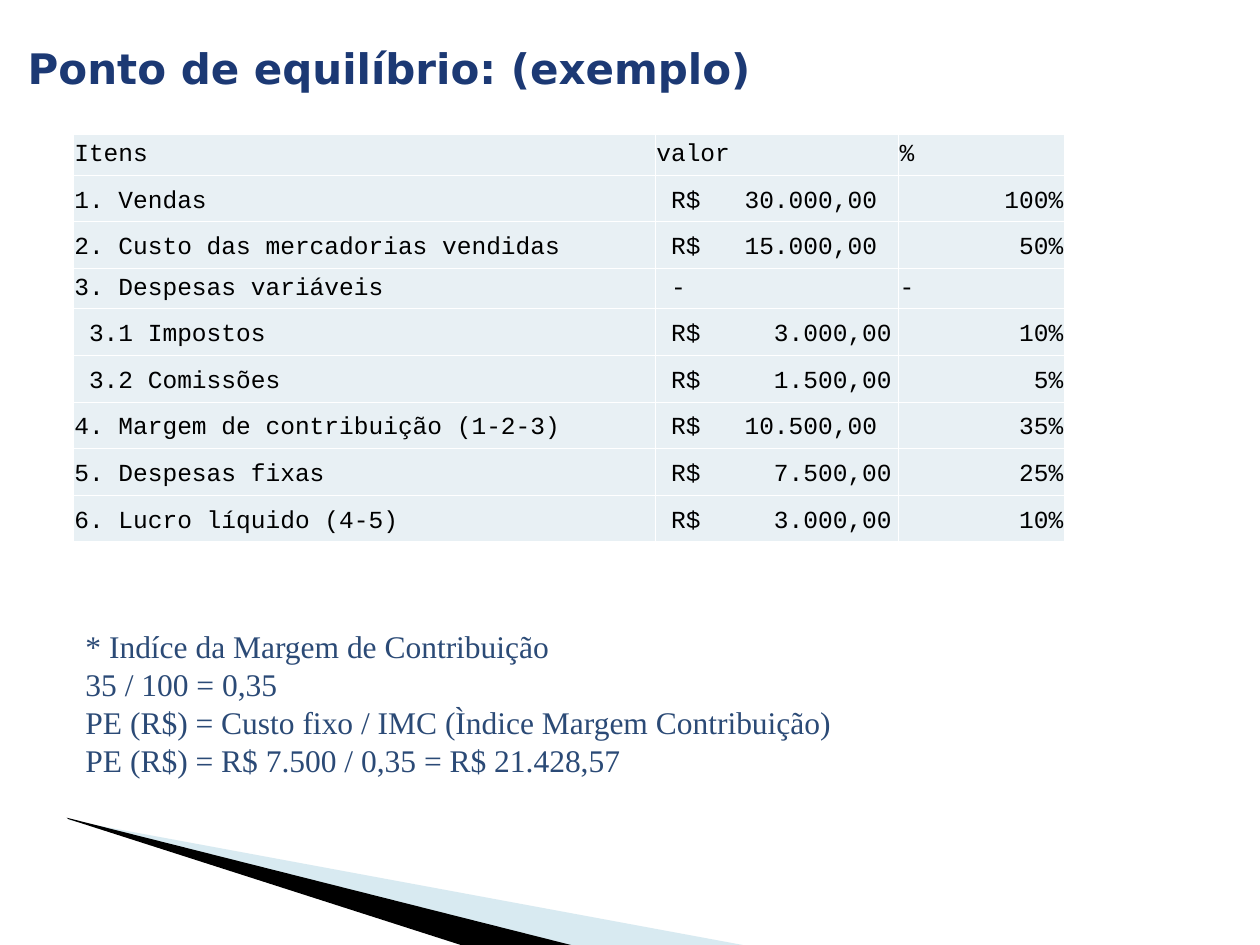
"""Build the break-even example slide with its table, formulas and corner wedges."""
from dataclasses import dataclass

from lxml.etree import SubElement
from pptx import Presentation
from pptx.dml.color import RGBColor as Color
from pptx.enum.text import MSO_ANCHOR as Anchor, MSO_AUTO_SIZE as AutoSize, PP_ALIGN as Align
from pptx.oxml import parse_xml
from pptx.oxml.ns import nsdecls, qn
from pptx.util import Inches, Pt


@dataclass(frozen=True)
class Theme:
    title: tuple = ("DejaVu Sans", 24, "1C3974", True)
    table: tuple = ("Courier New", 14, "000000", False)
    formula: tuple = ("Times New Roman", 18, "2B4A76", False)
    cell: str = "E8F0F4"
    border: str = "FFFFFF"
    border_width: float = 0.45
    pale_wedge: str = "9FCBDC"
    dark_wedge: str = "000000"


def format_text(paragraph, style, alignment=Align.LEFT):
    paragraph.alignment = alignment
    for run in paragraph.runs:
        run.font.name, size, color, run.font.bold = style
        run.font.size = Pt(size)
        run.font.color.rgb = Color.from_string(color)


def place(shape, left, top, width, height):
    shape.left, shape.top = round(left * column), round(top * row)
    shape.width, shape.height = round(width * column), round(height * row)


theme = Theme()
presentation = Presentation()
presentation.slide_width, presentation.slide_height = Inches(10), Inches(7.5)
column, row = presentation.slide_width / 100, presentation.slide_height / 75
slide = presentation.slides.add_slide(presentation.slide_layouts[5])

wedges = [
    (theme.pale_wedge, 40, [(5.5, 65.1), (59.5, 75.1), (45.6, 75.1), (5.5, 65)]),
    (theme.dark_wedge, 100, [(5.3, 64.9), (45.7, 75.1), (37.2, 75.2), (5.4, 65)]),
]
for color, opacity, points in wedges:
    corners = [(round(x * column), round(y * row)) for x, y in points]
    builder = slide.shapes.build_freeform(*corners[0])
    builder.add_line_segments(corners[1:], close=True)
    wedge = builder.convert_to_shape()
    wedge.shadow.inherit = False
    wedge.line.fill.background()
    wedge.fill.solid()
    wedge.fill.fore_color.rgb = Color.from_string(color)
    color_element = wedge.fill._xPr.find(qn("a:solidFill"))[0]
    SubElement(color_element, qn("a:alpha"), val=str(opacity * 1000))

items = [
    ("Itens", "valor", "%"),
    ("1. Vendas", "30.000,00", "100%"),
    ("2. Custo das mercadorias vendidas", "15.000,00", "50%"),
    ("3. Despesas variáveis", " -", "-"),
    (" 3.1 Impostos", "3.000,00", "10%"),
    (" 3.2 Comissões", "1.500,00", "5%"),
    ("4. Margem de contribuição (1-2-3)", "10.500,00", "35%"),
    ("5. Despesas fixas", "7.500,00", "25%"),
    ("6. Lucro líquido (4-5)", "3.000,00", "10%"),
]
column_shares = [46.2, 19.3, 13.2]
frame = slide.shapes.add_table(len(items), len(column_shares), 0, 0, Inches(1), Inches(1))
place(frame, 5.8, 10.7, sum(column_shares), 30.7)
table = frame.table
table.first_row = table.horz_banding = False
for table_column, share in zip(table.columns, column_shares):
    table_column.width = round(share * column)

for table_row, texts in zip(table.rows, items):
    has_amount = texts[1].endswith(",00")
    table_row.height = round((3.7 if has_amount else 2.4) * row)
    for index, (cell, text) in enumerate(zip(table_row.cells, texts)):
        is_amount = has_amount and index == 1
        cell.text_frame.text = f" R$\t{text}" if is_amount else text
        paragraph = cell.text_frame.paragraphs[0]
        format_text(paragraph, theme.table, Align.RIGHT if has_amount and index == 2 else Align.LEFT)
        if is_amount:
            tabs = SubElement(paragraph._p.get_or_add_pPr(), qn("a:tabLst"))
            tab_position = round((7 if len(text) == 9 else 9.33) * column)
            SubElement(tabs, qn("a:tab"), pos=str(tab_position), algn="l")
        cell.vertical_anchor = Anchor.BOTTOM
        cell.margin_left = cell.margin_right = round(0.1 * column)
        cell.margin_top = cell.margin_bottom = round(0.5 * row)
        cell.fill.solid()
        cell.fill.fore_color.rgb = Color.from_string(theme.cell)
        properties = cell._tc.get_or_add_tcPr()
        for position, side in enumerate("LRTB"):
            properties.insert(position, parse_xml(
                f'<a:ln{side} {nsdecls("a")} w="{Pt(theme.border_width)}"><a:solidFill>'
                f'<a:srgbClr val="{theme.border}"/></a:solidFill></a:ln{side}>'))

formulas = slide.shapes.add_textbox(0, 0, 0, 0)
place(formulas, 5.8, 49.3, 72.5, 16)
formulas.text_frame.word_wrap = True
formulas.text_frame.text = "\n".join([
    "* Indíce da Margem de Contribuição",
    "35 / 100 = 0,35",
    "PE (R$) = Custo fixo / IMC (Ìndice Margem Contribuição)",
    "PE (R$) = R$ 7.500 / 0,35 = R$ 21.428,57",
])
for paragraph in formulas.text_frame.paragraphs:
    format_text(paragraph, theme.formula)

title = slide.shapes.title
place(title, 1.2, 2.9, 97.6, 5)
title.text_frame.text = "Ponto de equilíbrio: (exemplo)"
title.text_frame.auto_size = AutoSize.NONE
title.text_frame.vertical_anchor = Anchor.TOP
format_text(title.text_frame.paragraphs[0], theme.title, Align.JUSTIFY)

presentation.save("out.pptx")
